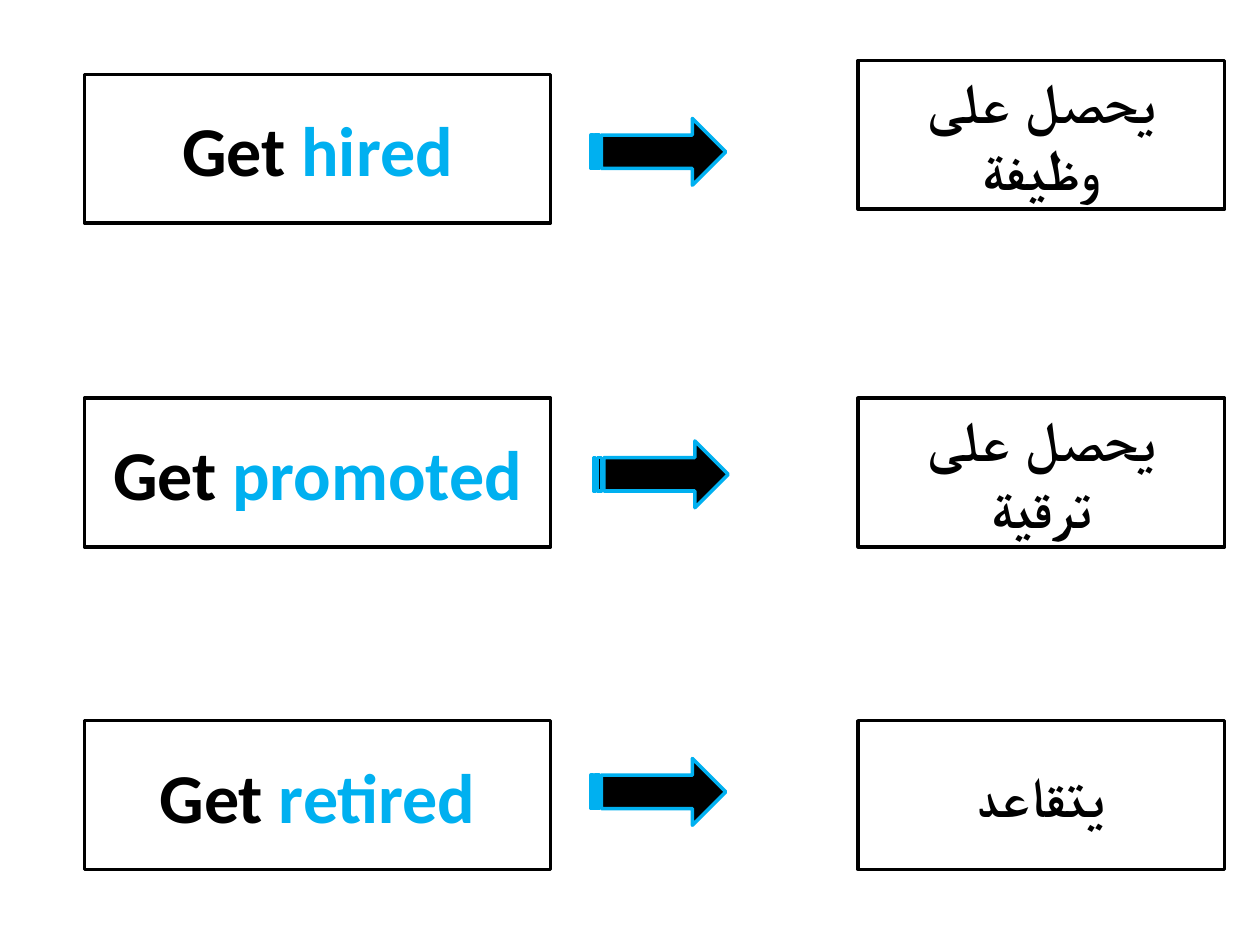
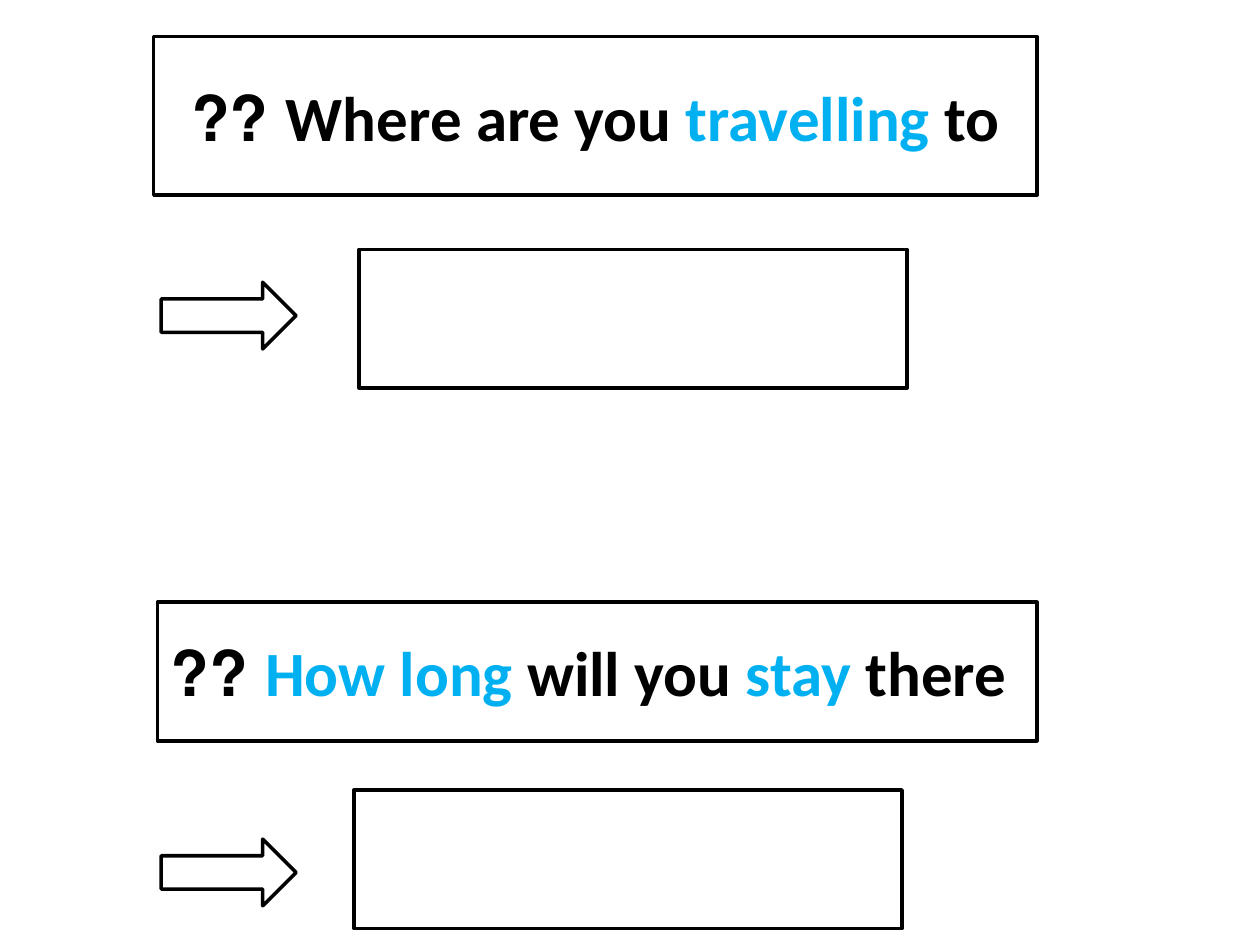
from pptx import Presentation
from pptx.dml.color import RGBColor
from pptx.enum import shapes, text
from pptx.util import Inches, Pt

COLORS = {"ink": "000000", "paper": "FFFFFF", "accent": "00B0F0"}
FONT = {"name": "Calibri", "bold": True}
LINE_WIDTH = 2
ARROW_SIZE = (1.07, 0.53)

# Runs are (words, colour). Each row: English runs, Arabic, then the tops of
# the English box and the Arabic box, and the left and top of the arrow.
VOCABULARY = [
    ([("Get ", "ink"), ("hired", "accent")], "يحصل على وظيفة", 0.59, 0.48, (4.69, 0.94)),
    ([("Get ", "ink"), ("promoted", "accent")], "يحصل على ترقية", 3.16, 3.16, (4.71, 3.5)),
    ([("Get ", "ink"), ("retired", "accent")], "يتقاعد", 5.72, 5.72, (4.69, 6.02)),
]
ENGLISH_LEFT, ENGLISH_SIZE = 0.67, (3.7, 1.18)
ARABIC_LEFT, ARABIC_SIZE = 6.81, (2.91, 1.18)

# Each row: question runs, question box, left and top of the answer, arrow top.
QUESTIONS = [
    ([("Where are you ", "ink"), ("travelling ", "accent"), ("to ??", "ink")],
     (1.22, 0.29, 7.01, 1.26), (2.85, 1.98), 2.24),
    ([(" ", "ink"), ("How long ", "accent"), ("will you ", "ink"),
      ("stay", "accent"), (" there ??", "ink")],
     (1.25, 4.78, 6.98, 1.1), (2.81, 6.27), 6.66),
]
ANSWER_SIZE = (4.35, 1.1)
ANSWER_ARROW_LEFT = 1.28


def rgb(color):
    return RGBColor.from_string(COLORS[color])


def add_outlined(slide, preset, box, fill="paper", line="ink"):
    shape = slide.shapes.add_shape(preset, *map(Inches, box))
    shape.shadow.inherit = False
    shape.fill.solid()
    shape.fill.fore_color.rgb = rgb(fill)
    shape.line.color.rgb = rgb(line)
    shape.line.width = Pt(LINE_WIDTH)
    return shape


def add_card(slide, box, runs=(), size=36):
    """Add a framed box whose text is centred and runs right to left."""
    card = add_outlined(slide, shapes.MSO_SHAPE.RECTANGLE, box)
    if not runs:
        return
    frame = card.text_frame
    frame.word_wrap = True
    frame.vertical_anchor = text.MSO_ANCHOR.MIDDLE
    paragraph = frame.paragraphs[0]
    paragraph.alignment = text.PP_ALIGN.CENTER
    paragraph._p.get_or_add_pPr().set("rtl", "1")
    for words, color in runs:
        run = paragraph.add_run()
        run.text = words
        for attribute, value in {**FONT, "size": Pt(size)}.items():
            setattr(run.font, attribute, value)
        run.font.color.rgb = rgb(color)


def build_vocabulary(slide):
    for english, arabic, english_top, arabic_top, arrow_at in VOCABULARY:
        add_card(slide, (ENGLISH_LEFT, english_top, *ENGLISH_SIZE), english, 40)
        add_outlined(slide, shapes.MSO_SHAPE.STRIPED_RIGHT_ARROW,
                     (*arrow_at, *ARROW_SIZE), "ink", "accent")
        add_card(slide, (ARABIC_LEFT, arabic_top, *ARABIC_SIZE), [(arabic, "ink")], 32)


def build_questions(slide):
    for question, question_box, answer_at, arrow_top in QUESTIONS:
        add_card(slide, question_box, question)
        add_card(slide, (*answer_at, *ANSWER_SIZE))
        add_outlined(slide, shapes.MSO_SHAPE.RIGHT_ARROW,
                     (ANSWER_ARROW_LEFT, arrow_top, *ARROW_SIZE))


def main():
    deck = Presentation()
    deck.slide_width, deck.slide_height = Inches(10), Inches(7.5)
    for build in (build_vocabulary, build_questions):
        build(deck.slides.add_slide(deck.slide_layouts[6]))
    deck.save("out.pptx")


if __name__ == "__main__":
    main()
